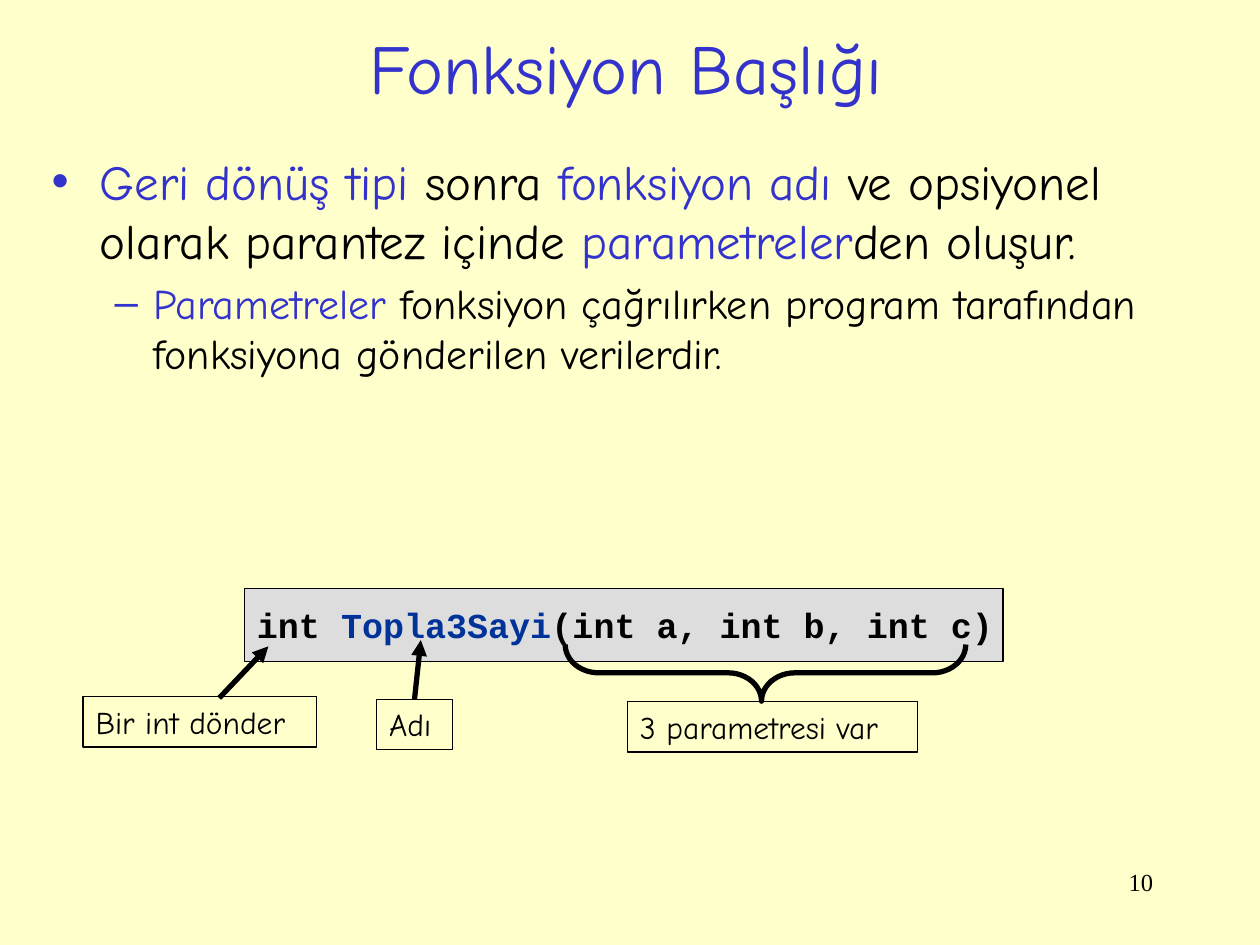
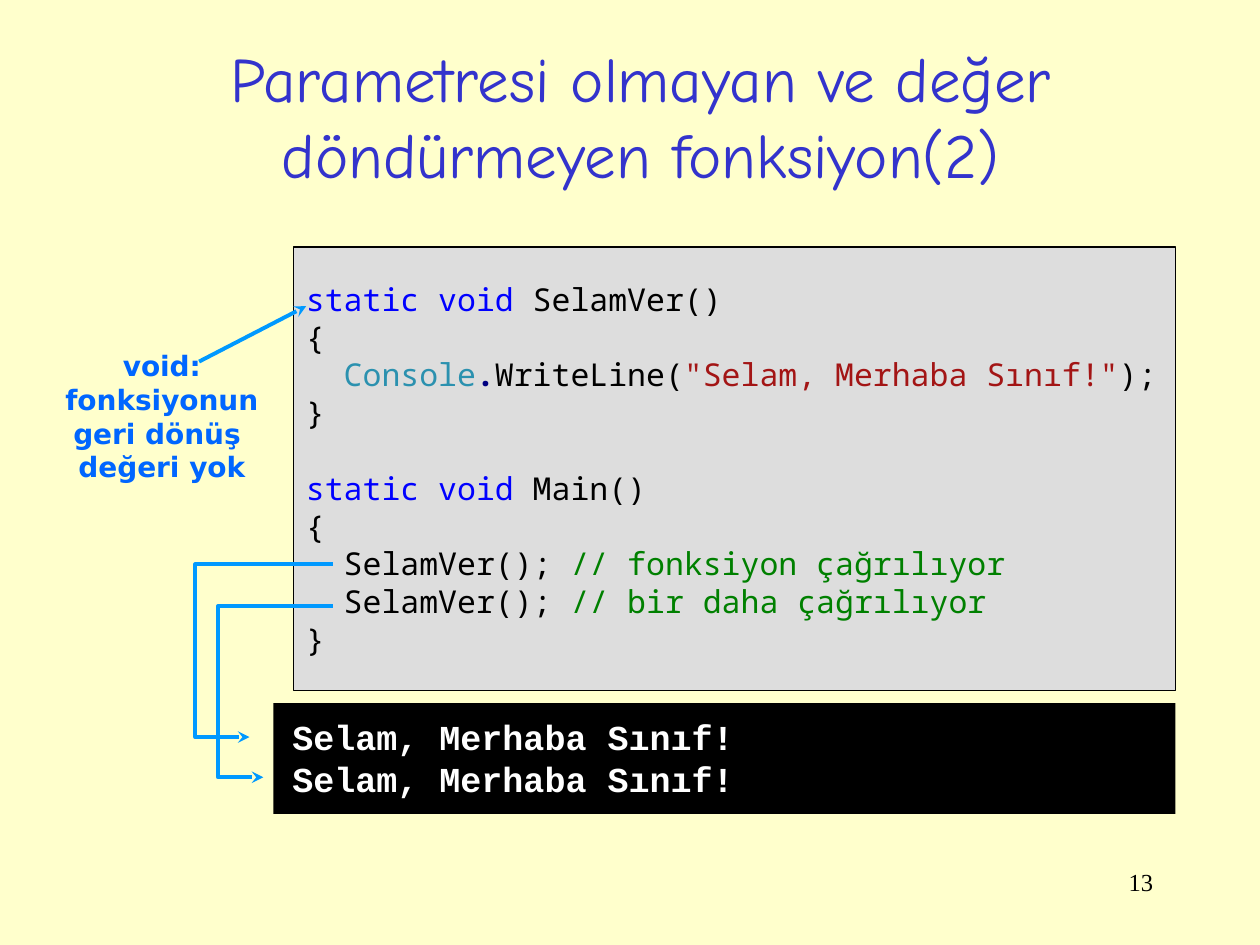
from lxml.etree import SubElement
from pptx import Presentation
from pptx.dml.color import RGBColor
from pptx.enum.shapes import MSO_CONNECTOR, MSO_SHAPE
from pptx.enum.text import MSO_ANCHOR, MSO_AUTO_SIZE, PP_ALIGN
from pptx.oxml.ns import qn
from pptx.util import Inches, Pt

SLIDE_WIDTH, SLIDE_HEIGHT = Inches(10), Inches(7.5)
COLUMN, ROW = SLIDE_WIDTH / 100, SLIDE_HEIGHT / 75

CREAM = RGBColor(0xFF, 0xFF, 0xCC)
INDIGO = RGBColor(0x33, 0x33, 0xCC)
BLACK = RGBColor(0x00, 0x00, 0x00)
WHITE = RGBColor(0xFF, 0xFF, 0xFF)
CODE_GRAY = RGBColor(0xDD, 0xDD, 0xDD)
NAME_BLUE = RGBColor(0x00, 0x33, 0x99)
KEYWORD_BLUE = RGBColor(0x00, 0x00, 0xFF)
CLASS_TEAL = RGBColor(0x2B, 0x91, 0xAF)
DOT_NAVY = RGBColor(0x00, 0x00, 0x80)
STRING_RED = RGBColor(0xA3, 0x15, 0x15)
COMMENT_GREEN = RGBColor(0x00, 0x80, 0x00)
ARROW_BLUE = RGBColor(0x00, 0x99, 0xFF)
NOTE_BLUE = RGBColor(0x00, 0x66, 0xFF)

HAND_FONT = "Comic Neue"
TYPED_FONT = "Courier New"
CODE_FONT = "Noto Sans Mono"
NOTE_FONT = "DejaVu Sans"
NUMBER_FONT = "Times New Roman"


def grid(column, row):
    """Turn a column and a row into a pair of slide lengths."""
    return round(column * COLUMN), round(row * ROW)


def box(left, top, width, height):
    """Turn a grid rectangle into slide lengths."""
    return *grid(left, top), *grid(width, height)


def place(shape, area):
    """Move a placeholder to a grid rectangle."""
    shape.left, shape.top, shape.width, shape.height = box(*area)


def write_lines(text_frame, lines, font_name, size, bold=False, align=None):
    """Write lines of (text, colour[, bold]) pieces into a text frame."""
    for index, pieces in enumerate(lines):
        paragraph = text_frame.paragraphs[0] if index == 0 else text_frame.add_paragraph()
        paragraph.alignment = align
        for text, colour, *own_bold in pieces:
            run = paragraph.add_run()
            run.text = text
            run.font.name, run.font.size = font_name, Pt(size)
            run.font.bold = own_bold[0] if own_bold else bold
            run.font.color.rgb = colour
        if not pieces:
            end = SubElement(paragraph._p, qn("a:endParaRPr"), sz=str(size * 100))
            SubElement(end, qn("a:latin"), typeface=font_name)


def add_title(slide, text, area, size):
    """Fill and format the title placeholder."""
    title = slide.shapes.title
    place(title, area)
    frame = title.text_frame
    frame.auto_size = MSO_AUTO_SIZE.NONE
    frame.vertical_anchor = MSO_ANCHOR.MIDDLE
    write_lines(frame, [[(text, INDIGO)]], HAND_FONT, size, align=PP_ALIGN.CENTER)


def add_bullets(slide, area, lines):
    """Fill the body placeholder, one indent level deeper per line."""
    body = slide.placeholders[1]
    place(body, area)
    frame = body.text_frame
    frame.auto_size = MSO_AUTO_SIZE.NONE
    write_lines(frame, lines, HAND_FONT, 28, align=PP_ALIGN.LEFT)
    styles = [(0.38, 0.38, 28), (0.81, 0.31, 24)]
    for level, (paragraph, style) in enumerate(zip(frame.paragraphs, styles)):
        margin, hanging, size = style
        paragraph.level = level
        properties = paragraph._p.get_or_add_pPr()
        properties.set("marL", str(Inches(margin)))
        properties.set("indent", str(-Inches(hanging)))
        for run in paragraph.runs:
            run.font.size = Pt(size)
    frame.paragraphs[0].space_before = Pt(0)


def add_page_number(slide, number):
    """Add the page number at the lower right."""
    frame = slide.shapes.add_textbox(*box(71.7, 68.3, 20.8, 5)).text_frame
    frame.word_wrap = True
    write_lines(frame, [[(number, BLACK)]], NUMBER_FONT, 14, align=PP_ALIGN.RIGHT)


def add_panel(slide, area, lines, font_name, size, fill=None, outline=BLACK,
              bold=False, anchor=MSO_ANCHOR.MIDDLE):
    """Add a rectangle with left-aligned lines of text."""
    panel = slide.shapes.add_shape(MSO_SHAPE.RECTANGLE, *box(*area))
    panel.shadow.inherit = False
    if fill is None:
        panel.fill.background()
    else:
        panel.fill.solid()
        panel.fill.fore_color.rgb = fill
    if outline is None:
        panel.line.fill.background()
    else:
        panel.line.color.rgb, panel.line.width = outline, Pt(0.75)
    frame = panel.text_frame
    frame.word_wrap = False
    frame.vertical_anchor = anchor
    write_lines(frame, lines, font_name, size, bold, PP_ALIGN.LEFT)
    return panel


def add_label(slide, text, area):
    """Add an outlined caption box."""
    return add_panel(slide, area, [[(text, BLACK)]], HAND_FONT, 18, anchor=MSO_ANCHOR.TOP)


def style_arrow(shape, colour, width, head):
    """Colour a line and give its end an arrowhead."""
    shape.line.color.rgb, shape.line.width = colour, Pt(width)
    SubElement(shape.line._get_or_add_ln(), qn("a:tailEnd"), type=head)


def add_arrow(shapes, start, end, colour, width, head):
    """Add a straight arrow between two grid points."""
    arrow = shapes.add_connector(MSO_CONNECTOR.STRAIGHT, *grid(*start), *grid(*end))
    style_arrow(arrow, colour, width, head)
    SubElement(arrow._element.spPr, qn("a:effectLst"))
    return arrow


def add_call_path(slide, lane, call_row, output):
    """Add a bent arrow from a call, down a lane, to its output."""
    start, *corners = [grid(*point) for point in
                       [(26.4, call_row), (lane, call_row), (lane, output[1]), output]]
    builder = slide.shapes.build_freeform(*start)
    builder.add_line_segments(corners, close=False)
    path_shape = builder.convert_to_shape()
    path_shape.shadow.inherit = False
    path_shape.fill.background()
    style_arrow(path_shape, ARROW_BLUE, 2.25, "stealth")


def add_brace(slide, area):
    """Add a brace turned to point downwards."""
    brace = slide.shapes.add_shape(MSO_SHAPE.RIGHT_BRACE, *box(*area))
    brace.rotation = 90
    brace.adjustments[0], brace.adjustments[1] = 0.59, 0.51
    brace.shadow.inherit = False
    brace.fill.background()
    brace.line.color.rgb, brace.line.width = BLACK, Pt(3)


def add_side_note(slide, area, lines, start, end):
    """Group a centred note with the arrow that leaves it."""
    shapes = slide.shapes.add_group_shape().shapes
    add_arrow(shapes, start, end, ARROW_BLUE, 2.25, "stealth")
    frame = shapes.add_textbox(*box(*area)).text_frame
    frame.word_wrap = False
    write_lines(frame, [[(line, NOTE_BLUE)] for line in lines], NOTE_FONT, 16, True,
                PP_ALIGN.CENTER)


def build_header_slide(presentation):
    """Build the slide on the parts of a function header."""
    slide = presentation.slides.add_slide(presentation.slide_layouts[1])
    add_page_number(slide, "10")
    add_title(slide, "Fonksiyon Başlığı", (7.2, 1.5, 85, 7.6), 40)
    add_bullets(slide, (3.1, 11.5, 94.2, 29.7), [
        [("Geri dönüş tipi", INDIGO), (" sonra ", BLACK), ("fonksiyon adı ", INDIGO),
         ("ve opsiyonel olarak parantez içinde ", BLACK), ("parametreler", INDIGO),
         ("den oluşur.", BLACK)],
        [("Parametreler", INDIGO),
         (" fonksiyon çağrılırken program tarafından fonksiyona gönderilen verilerdir.", BLACK)],
    ])
    header = [("int ", BLACK), ("Topla3Sayi", NAME_BLUE), ("(int a, int b, int c)", BLACK)]
    add_panel(slide, (19.4, 46.7, 60.2, 5.8), [header], TYPED_FONT, 20, CODE_GRAY, bold=True)
    add_label(slide, "Bir int dönder", (6.6, 55.3, 18.5, 4))
    name_label = add_label(slide, "Adı", (29.9, 55.5, 6, 4))
    add_label(slide, "3 parametresi var", (49.8, 55.7, 23, 4))
    add_arrow(slide.shapes, (17.4, 55.4), (21.3, 51.3), BLACK, 3, "triangle")
    name_arrow = add_arrow(slide.shapes, (33.5, 55.3), (33.4, 50.8), BLACK, 3, "triangle")
    name_arrow.begin_connect(name_label, 0)
    add_brace(slide, (58.5, 37.5, 4.5, 31.8))


def build_void_slide(presentation):
    """Build the slide on a function without parameters or result."""
    slide = presentation.slides.add_slide(presentation.slide_layouts[5])
    add_page_number(slide, "13")
    add_title(slide, "Parametresi olmayan ve değer döndürmeyen fonksiyon(2)",
              (3.4, 3.3, 94.9, 11.7), 36)
    keyword = ("static void", KEYWORD_BLUE)
    opening, closing = [("{", BLACK)], [("}", BLACK)]
    call = ("  SelamVer(); ", BLACK)
    code = [
        [keyword, (" SelamVer()", BLACK)],
        opening,
        [("  ", BLACK), ("Console", CLASS_TEAL), (".", DOT_NAVY, True), ("WriteLine(", BLACK),
         ('"Selam, Merhaba Sınıf!"', STRING_RED), (");", BLACK)],
        closing,
        [],
        [keyword, (" Main()", BLACK)],
        opening,
        [call, ("// fonksiyon çağrılıyor", COMMENT_GREEN)],
        [call, ("// bir daha çağrılıyor", COMMENT_GREEN)],
        closing,
    ]
    add_panel(slide, (23.3, 19.6, 70, 35.2), code, CODE_FONT, 18, CODE_GRAY)
    greeting = [("Selam, Merhaba Sınıf!", WHITE)]
    output = add_panel(slide, (21.7, 55.8, 71.6, 8.8), [greeting] * 2, TYPED_FONT, 20,
                       BLACK, None, True, MSO_ANCHOR.TOP)
    frame = output.text_frame
    frame.word_wrap = True
    frame.margin_left = frame.margin_right = Inches(0.15)
    frame.margin_top = frame.margin_bottom = Inches(0.1)
    add_side_note(slide, (4.1, 27.2, 17.5, 11.8),
                  ["void:", "fonksiyonun", "geri dönüş ", "değeri yok"],
                  (15.8, 28.7), (24.3, 24.3))
    add_call_path(slide, 15.5, 44.8, (19.8, 58.5))
    add_call_path(slide, 17.3, 48.1, (20.9, 61.7))


def main():
    """Build and save the presentation."""
    presentation = Presentation()
    presentation.slide_width, presentation.slide_height = SLIDE_WIDTH, SLIDE_HEIGHT
    background = presentation.slide_master.background.fill
    background.solid()
    background.fore_color.rgb = CREAM
    build_header_slide(presentation)
    build_void_slide(presentation)
    presentation.save("out.pptx")


if __name__ == "__main__":
    main()
